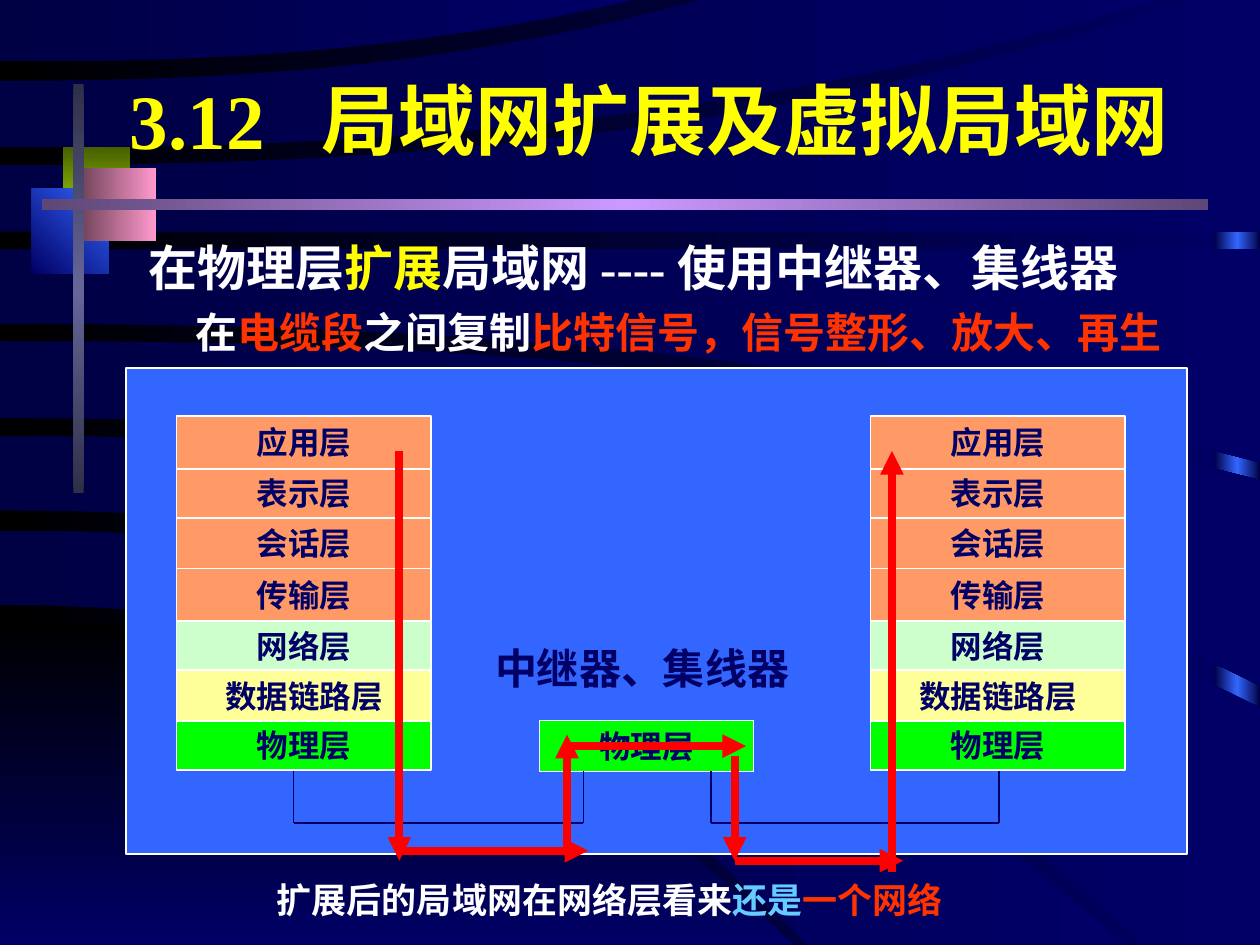
from copy import deepcopy
from itertools import pairwise

from lxml import etree
from pptx import Presentation
from pptx import util as u
from pptx.dml.color import RGBColor
from pptx.enum import shapes, text
from pptx.oxml.ns import qn

COLORS = {
    "black": "000000", "navy": "000066", "deep": "000044", "blue": "3366FF",
    "white": "FFFFFF", "yellow": "FFFF00", "orange_red": "FF3300", "sky": "66CCFF",
    "red": "FF0000", "salmon": "FF9966", "mint": "CCFFCC", "cream": "FFFF99",
    "green": "00FF00", "olive": "475E00", "lime": "99CC00", "plum": "76475E",
    "pink": "FF99CC", "slate": "2F2F47", "steel": "666699", "purple": "5E4776",
    "lilac": "CC99FF",
}

# Content: text runs are (text, colour) or (text, colour, font)
TITLE = "3.12\t局域网扩展及虚拟局域网"
HEADING = [("在物理层", "white"), ("扩展", "yellow"),
           ("局域网 ---- 使用中继器、集线器", "white")]
DETAIL = [("在", "white"), ("电缆段", "orange_red"), ("之间复制", "white"),
          ("比特信号，信号整形、放大、再生", "orange_red")]
NOTE = [("扩展后的局域网在网络层看来", "white"), ("还是", "sky"),
        ("一个网络", "orange_red", "Noto Sans CJK SC")]
REPEATER = "中继器、集线器"
LAYERS = [("应用层", "salmon"), ("表示层", "salmon"), ("会话层", "salmon"),
          ("传输层", "salmon"), ("网络层", "mint"), ("数据链路层", "cream"),
          ("物理层", "green")]

# Geometry in cm
W, H = 25.4, 19.05
LAYER_EDGES = [8.38, 9.45, 10.44, 11.46, 12.52, 13.51, 14.53, 15.52]
STACK_LEFTS, STACK_W = [3.56, 17.55], 5.13
CABLES = [(5.92, 11.76), (14.33, 20.14)]
CABLE_TOP, CABLE_BOTTOM = 15.54, 16.59
SIGNAL = [(8.05, 9.09, 8.05, 17.35), (8.05, 17.15, 11.86, 17.15),
          (11.43, 17.15, 11.43, 14.81), (11.43, 15.04, 15.04, 15.04),
          (14.81, 15.24, 14.81, 17.35), (14.81, 17.35, 18.21, 17.35),
          (17.98, 17.58, 17.98, 9.09)]

# Sweeping bands: each edge is a curve (y at left, x at end, y at end)
BEND, STEPS = 2.4, 16
BLACK_BAND = (12.52, 16, H), (H, 16, H)
BLUE_BANDS = [
    ((10.7, 22.7, H), (12.2, 16.3, H)),
    ((8.79, W, 14.27), (10.29, 23.11, H)),
    ((6.88, W, 9.68), (8.43, W, 13.82)),
    ((5.03, W, 5.03), (6.53, W, 9.32)),
    ((3.33, 23.98, 0), (4.67, W, 4.67)),
    ((1.63, 14.15, 0), (2.97, 23.32, 0)),
    ((0, 12.75, 0), (1.24, 12.75, 0)),
]

# Ornaments: left, top, width, height, gradient colours, clockwise angle
ORNAMENTS = [
    (1.27, 2.96, 1.35, 1.32, ["olive", "lime"], 90),
    (0.64, 3.81, 1.55, 1.7, ["navy", "blue"], 315),
    (1.69, 3.39, 1.45, 1.48, ["plum", "pink"], 0),
    (1.48, 1.69, 0.21, 8.26, ["slate", "steel", "slate"], 90),
    (0.85, 4.02, 23.5, 0.21, ["purple", "lilac", "purple"], 0),
]

prs = Presentation()
prs.slide_width, prs.slide_height = u.Cm(W), u.Cm(H)
slide = prs.slides.add_slide(prs.slide_layouts[6])


def rgb(name):
    return RGBColor.from_string(COLORS[name])


def set_gradient(fill, element, names, angle):
    fill.gradient()
    fill.gradient_angle = -angle % 360
    gs_list = next(element.iter(qn("a:gsLst")))
    for _ in names[2:]:
        gs_list.insert(1, deepcopy(gs_list[0]))
    for i, (stop, name) in enumerate(zip(fill.gradient_stops, names)):
        stop.color.rgb = rgb(name)
        stop.position = i / (len(names) - 1)


def add_rect(x, y, w, h, fill, angle=0, line_pt=0):
    sp = slide.shapes.add_shape(shapes.MSO_SHAPE.RECTANGLE, *map(u.Cm, (x, y, w, h)))
    sp.shadow.inherit = False
    if isinstance(fill, list):
        set_gradient(sp.fill, sp._element, fill, angle)
    else:
        sp.fill.solid()
        sp.fill.fore_color.rgb = rgb(fill)
    if line_pt:
        sp.line.color.rgb = rgb("white")
        sp.line.width = u.Pt(line_pt)
    else:
        sp.line.fill.background()
    return sp


def curve(y0, x_end, y_end):
    ratios = [i / STEPS for i in range(STEPS + 1)]
    return [(x_end * t, y0 + (y_end - y0) * t ** BEND) for t in ratios]


def add_band(upper, lower, names, angle):
    shorter = min(upper, lower, key=lambda edge: edge[1])
    corner = (max(upper[1], lower[1]), shorter[2])
    points = curve(*upper) + [corner] + curve(*lower)[::-1]
    start, *rest = [(u.Cm(x), u.Cm(y)) for x, y in points]
    builder = slide.shapes.build_freeform(*start)
    builder.add_line_segments(rest, close=True)
    sp = builder.convert_to_shape()
    sp.shadow.inherit = False
    set_gradient(sp.fill, sp._element, names, angle)
    sp.line.fill.background()


def add_line(x1, y1, x2, y2, color, width, arrow=False):
    cx = slide.shapes.add_connector(shapes.MSO_CONNECTOR.STRAIGHT,
                                    *map(u.Cm, (x1, y1, x2, y2)))
    cx.line.color.rgb = rgb(color)
    cx.line.width = u.Pt(width)
    if arrow:
        ln = cx._element.spPr.find(qn("a:ln"))
        etree.SubElement(ln, qn("a:tailEnd"), type="triangle")
    etree.SubElement(cx._element.spPr, qn("a:effectLst"))


def add_text(x, y, w, h, wrap=True):
    tf = slide.shapes.add_textbox(*map(u.Cm, (x, y, w, h))).text_frame
    tf.word_wrap = wrap
    return tf


def write(p, runs, size, font):
    p.font.size, p.font.name, p.font.bold = u.Pt(size), font, True
    for words, color, *own_font in runs:
        r = p.add_run()
        r.text = words
        r.font.color.rgb = rgb(color)
        if own_font:
            r.font.name = own_font[0]


def add_layer(x, y, w, h, name, color, line_pt=1):
    tf = add_rect(x, y, w, h, color, line_pt=line_pt).text_frame
    tf.word_wrap = False
    tf.vertical_anchor = text.MSO_ANCHOR.MIDDLE
    p = tf.paragraphs[0]
    p.alignment = text.PP_ALIGN.CENTER
    write(p, [(name, "navy")], 18, "Arial")


# Background and ornaments
set_gradient(slide.background.fill, slide._element, ["black", "navy"], 0)
add_rect(24.48, 0, 0.92, H, ["deep", "blue", "deep"])
add_band(*BLACK_BAND, ["black", "navy"], 90)
for band in BLUE_BANDS:
    add_band(*band, ["deep", "navy"], 0)
for ornament in ORNAMENTS:
    add_rect(*ornament)

# Title, with a tab between number and name
tf = add_text(1.69, 1.48, 22.43, 1.83)
tf.margin_left = u.Cm(0.93)
tf.vertical_anchor = text.MSO_ANCHOR.MIDDLE
p = tf.paragraphs[0]
tabs = etree.SubElement(p._p.get_or_add_pPr(), qn("a:tabLst"))
etree.SubElement(tabs, qn("a:tab"), pos=str(u.Cm(3.86)), algn="l")
write(p, [(TITLE, "yellow")], 44, "Times New Roman")

# Heading and detail
tf = add_text(2.75, 4.66, 22.02, 2.67)
write(tf.paragraphs[0], HEADING, 28, "Times New Roman")
p = tf.add_paragraph()
p._p.get_or_add_pPr().set("marL", str(u.Cm(0.95)))
p.space_before = u.Pt(6)
write(p, DETAIL, 24, "Arial")

# Closing note
tf = add_text(5.33, 17.58, 13.94, 1.12, wrap=False)
write(tf.paragraphs[0], NOTE, 20, "Times New Roman")

# Panel, two protocol stacks and the repeater
add_rect(2.54, 7.42, 21.39, 9.8, "blue", line_pt=1)
for left in STACK_LEFTS:
    for (name, color), (top, bottom) in zip(LAYERS, pairwise(LAYER_EDGES)):
        add_layer(left, top, STACK_W, bottom - top, name, color)
add_layer(10.87, 14.53, 4.32, 1.02, *LAYERS[-1], line_pt=0.75)
tf = add_text(9.73, 12.83, 6.68, 1.27)
write(tf.paragraphs[0], [(REPEATER, "navy")], 24, "Arial")

# Cables
for x1, x2 in CABLES:
    corners = [(x1, CABLE_TOP), (x1, CABLE_BOTTOM), (x2, CABLE_BOTTOM), (x2, CABLE_TOP)]
    for start, end in pairwise(corners):
        add_line(*start, *end, "navy", 0.75)

# Signal path
for segment in SIGNAL:
    add_line(*segment, "red", 4.5, arrow=True)

prs.save("out.pptx")
